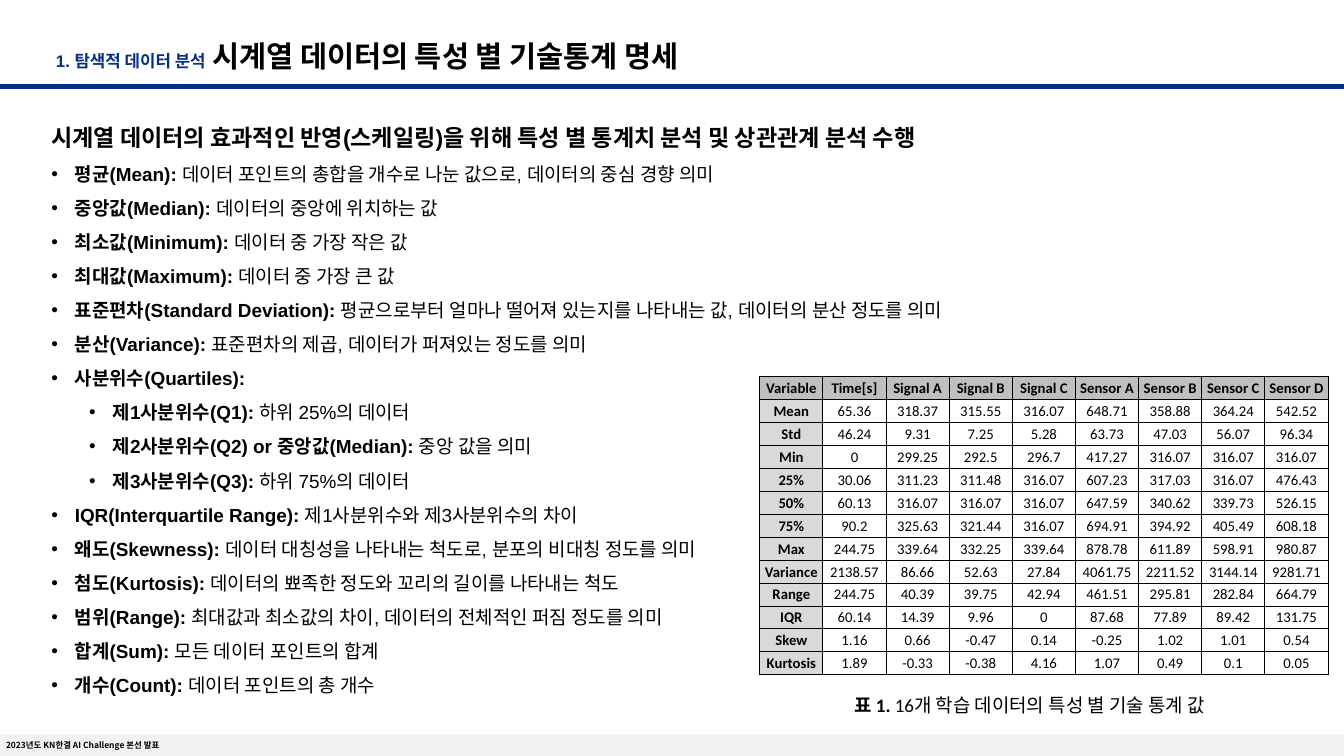
from dataclasses import dataclass
from typing import Optional

from lxml.etree import SubElement
from pptx import Presentation
from pptx.dml.color import RGBColor
from pptx.enum.shapes import MSO_SHAPE as Preset
from pptx.enum.text import MSO_ANCHOR as Anchor, MSO_AUTO_SIZE as AutoSize, PP_ALIGN as Align
from pptx.oxml.ns import qn
from pptx.util import Inches, Pt

NAVY = RGBColor(0x06, 0x2F, 0x87)
BLACK = RGBColor(0, 0, 0)
FOOTER_GRAY = RGBColor(0xF2, 0xF2, 0xF2)
HEADER_GRAY = RGBColor(0xBF, 0xBF, 0xBF)
LABEL_GRAY = RGBColor(0xD9, 0xD9, 0xD9)
KOREAN_FONT = "Noto Sans CJK KR"


@dataclass
class Run:
    text: str
    size: float
    bold: bool = False
    font: str = "Arial"
    color: RGBColor = BLACK


@dataclass
class Box:
    left: float
    top: float
    width: float
    height: float


@dataclass
class Statistic:
    name: str
    meaning: str = ""
    level: int = 0


STATISTICS = [
    Statistic("평균(Mean): ", "데이터 포인트의 총합을 개수로 나눈 값으로, 데이터의 중심 경향 의미"),
    Statistic("중앙값(Median): ", "데이터의 중앙에 위치하는 값"),
    Statistic("최소값(Minimum): ", "데이터 중 가장 작은 값"),
    Statistic("최대값(Maximum): ", "데이터 중 가장 큰 값"),
    Statistic("표준편차(Standard Deviation): ",
              "평균으로부터 얼마나 떨어져 있는지를 나타내는 값, 데이터의 분산 정도를 의미"),
    Statistic("분산(Variance): ", "표준편차의 제곱, 데이터가 퍼져있는 정도를 의미"),
    Statistic("사분위수(Quartiles):"),
    Statistic("제1사분위수(Q1): ", "하위 25%의 데이터", 1),
    Statistic("제2사분위수(Q2) or 중앙값(Median): ", "중앙 값을 의미", 1),
    Statistic("제3사분위수(Q3): ", "하위 75%의 데이터", 1),
    Statistic("IQR(Interquartile Range): ", "제1사분위수와 제3사분위수의 차이"),
    Statistic("왜도(Skewness): ", "데이터 대칭성을 나타내는 척도로, 분포의 비대칭 정도를 의미"),
    Statistic("첨도(Kurtosis): ", "데이터의 뾰족한 정도와 꼬리의 길이를 나타내는 척도"),
    Statistic("범위(Range): ", "최대값과 최소값의 차이, 데이터의 전체적인 퍼짐 정도를 의미"),
    Statistic("합계(Sum): ", "모든 데이터 포인트의 합계"),
    Statistic("개수(Count): ", "데이터 포인트의 총 개수"),
]

TABLE_ROWS = [
    ["Variable", "Time[s]", "Signal A", "Signal B", "Signal C",
     "Sensor A", "Sensor B", "Sensor C", "Sensor D"],
    *(line.split() for line in (
        "Mean 65.36 318.37 315.55 316.07 648.71 358.88 364.24 542.52",
        "Std 46.24 9.31 7.25 5.28 63.73 47.03 56.07 96.34",
        "Min 0 299.25 292.5 296.7 417.27 316.07 316.07 316.07",
        "25% 30.06 311.23 311.48 316.07 607.23 317.03 316.07 476.43",
        "50% 60.13 316.07 316.07 316.07 647.59 340.62 339.73 526.15",
        "75% 90.2 325.63 321.44 316.07 694.91 394.92 405.49 608.18",
        "Max 244.75 339.64 332.25 339.64 878.78 611.89 598.91 980.87",
        "Variance 2138.57 86.66 52.63 27.84 4061.75 2211.52 3144.14 9281.71",
        "Range 244.75 40.39 39.75 42.94 461.51 295.81 282.84 664.79",
        "IQR 60.14 14.39 9.96 0 87.68 77.89 89.42 131.75",
        "Skew 1.16 0.66 -0.47 0.14 -0.25 1.02 1.01 0.54",
        "Kurtosis 1.89 -0.33 -0.38 4.16 1.07 0.49 0.1 0.05",
    )),
]


def lengths(box: Box) -> list:
    return [Inches(value) for value in (box.left, box.top, box.width, box.height)]


def add_runs(paragraph, *runs: Run) -> None:
    for item in runs:
        run = paragraph.add_run()
        run.text = item.text
        run.font.size = Pt(item.size)
        run.font.bold = item.bold
        run.font.name = item.font
        run.font.color.rgb = item.color
        SubElement(run.font._element, qn("a:ea"), typeface=KOREAN_FONT)


def add_text_box(slide, box: Box, anchor=Anchor.TOP):
    frame = slide.shapes.add_textbox(*lengths(box)).text_frame
    frame.word_wrap = True
    frame.auto_size = AutoSize.NONE
    frame.vertical_anchor = anchor
    return frame


def add_bar(slide, box: Box, fill: RGBColor, line: Optional[RGBColor] = None):
    shape = slide.shapes.add_shape(Preset.RECTANGLE, *lengths(box))
    shape.shadow.inherit = False
    shape.fill.solid()
    shape.fill.fore_color.rgb = fill
    if line is None:
        shape.line.fill.background()
    else:
        shape.line.color.rgb = line
        shape.line.width = Pt(1)
    return shape


def add_statistics(slide) -> None:
    frame = add_text_box(slide, Box(0.58, 1.4, 16.18, 7.92))
    heading = frame.paragraphs[0]
    heading.line_spacing = Pt(39.6)
    add_runs(heading, Run(
        "시계열 데이터의 효과적인 반영(스케일링)을 위해 특성 별 통계치 분석 및 상관관계 분석 수행", 22, True))
    for statistic in STATISTICS:
        paragraph = frame.add_paragraph()
        paragraph.level = statistic.level
        paragraph.line_spacing = Pt(32.4)
        properties = paragraph._p.get_or_add_pPr()
        properties.set("marL", str(Inches(0.31 + 0.5 * statistic.level)))
        properties.set("indent", str(Inches(-0.31)))
        SubElement(properties, qn("a:buFont"), typeface="Arial")
        SubElement(properties, qn("a:buChar"), char="•")
        add_runs(paragraph, Run(statistic.name, 18, True))
        if statistic.meaning:
            add_runs(paragraph, Run(statistic.meaning, 18))


def add_cell_borders(cell) -> None:
    properties = cell._tc.get_or_add_tcPr()
    for side in ("a:lnL", "a:lnR", "a:lnT", "a:lnB"):
        border = SubElement(properties, qn(side), w=str(Pt(1)))
        fill = SubElement(border, qn("a:solidFill"))
        SubElement(fill, qn("a:srgbClr"), val=str(BLACK))


def add_statistics_table(slide) -> None:
    box = Box(10.04, 4.98, 7.51, 3.94)
    row_count, column_count = len(TABLE_ROWS), len(TABLE_ROWS[0])
    table = slide.shapes.add_table(row_count, column_count, *lengths(box)).table
    table.first_row = table.horz_banding = False
    for column in table.columns:
        column.width = Inches(box.width / column_count)
    for row_index, values in enumerate(TABLE_ROWS):
        table.rows[row_index].height = Inches(box.height / row_count)
        for column_index, value in enumerate(values):
            cell = table.cell(row_index, column_index)
            is_label = row_index == 0 or column_index == 0
            cell.vertical_anchor = Anchor.MIDDLE
            cell.margin_left = cell.margin_right = cell.margin_top = Inches(0.01)
            cell.margin_bottom = 0
            add_cell_borders(cell)
            if is_label:
                cell.fill.solid()
                cell.fill.fore_color.rgb = LABEL_GRAY if row_index else HEADER_GRAY
            else:
                cell.fill.background()
            paragraph = cell.text_frame.paragraphs[0]
            paragraph.alignment = Align.CENTER
            add_runs(paragraph, Run(value, 14, is_label, "Calibri"))


def main() -> None:
    presentation = Presentation()
    presentation.slide_width = Inches(17.76)
    presentation.slide_height = Inches(9.99)
    slide = presentation.slides.add_slide(presentation.slide_layouts[6])

    title = add_text_box(slide, Box(0.58, 0, 16.6, 1.06), Anchor.BOTTOM)
    title.margin_left, title.margin_bottom = Inches(0.16), Inches(0.08)
    title.paragraphs[0].line_spacing = 0.9
    add_runs(title.paragraphs[0],
             Run("1. 탐색적 데이터 분석", 16, True, color=NAVY),
             Run(" 시계열 데이터의 특성 별 기술통계 명세", 28, True))
    add_bar(slide, Box(0, 1.12, 17.76, 0.05), NAVY, NAVY)

    add_statistics(slide)

    footer = add_bar(slide, Box(0, 9.7, 17.76, 0.29), FOOTER_GRAY).text_frame
    footer.margin_left = footer.margin_right = Inches(0.08)
    footer.vertical_anchor = Anchor.MIDDLE
    footer.paragraphs[0].alignment = Align.LEFT
    add_runs(footer.paragraphs[0], Run("2023년도 KN한결 AI Challenge 본선 발표", 8, True, KOREAN_FONT))

    add_statistics_table(slide)

    caption = add_text_box(slide, Box(11.19, 9.11, 5.22, 0.4)).paragraphs[0]
    caption.line_spacing = Pt(22)
    add_runs(caption, Run("표 1. ", 18, True, "Calibri"),
             Run("16개 학습 데이터의 특성 별 기술 통계 값", 18, font="Calibri"))

    presentation.save("out.pptx")


if __name__ == "__main__":
    main()
